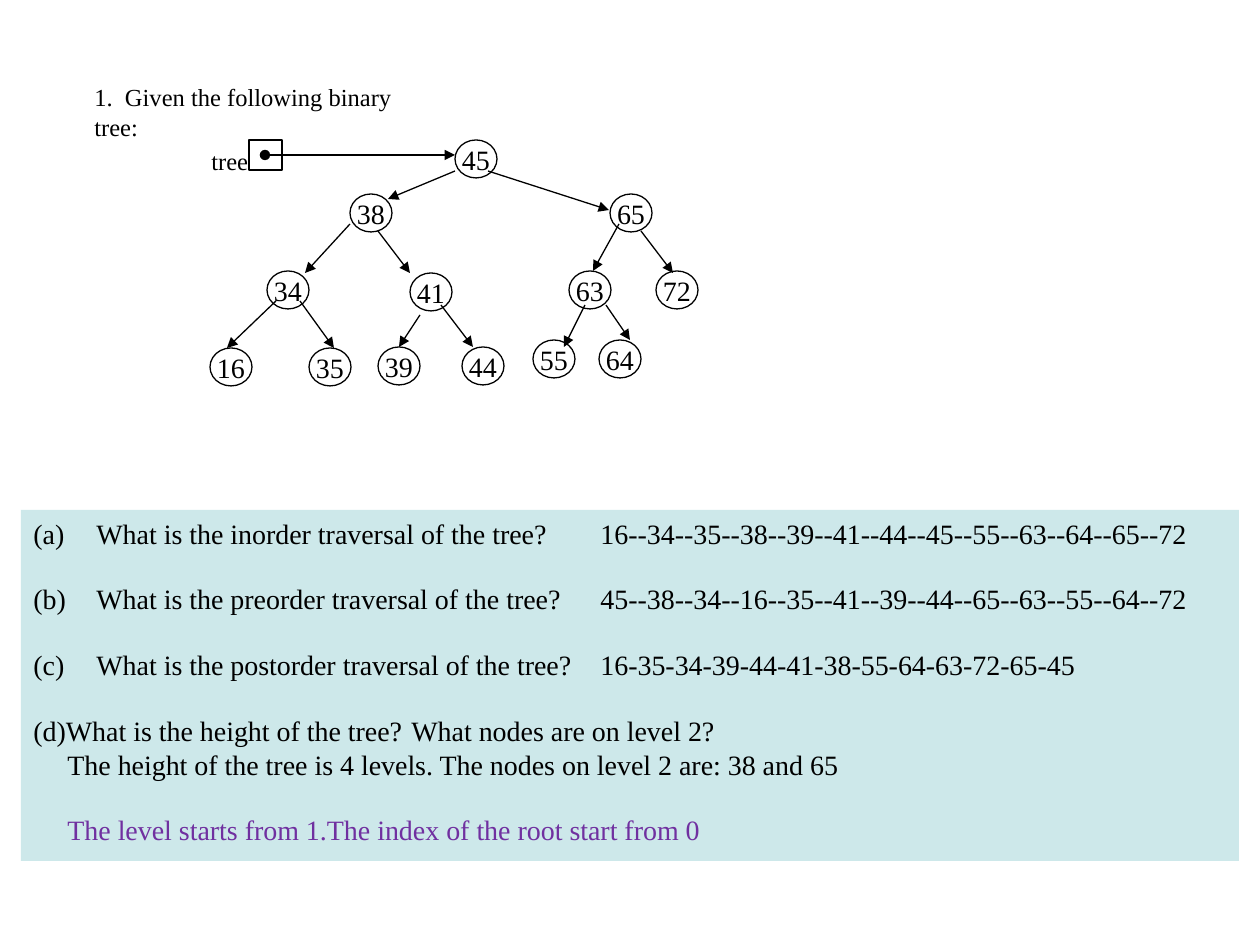
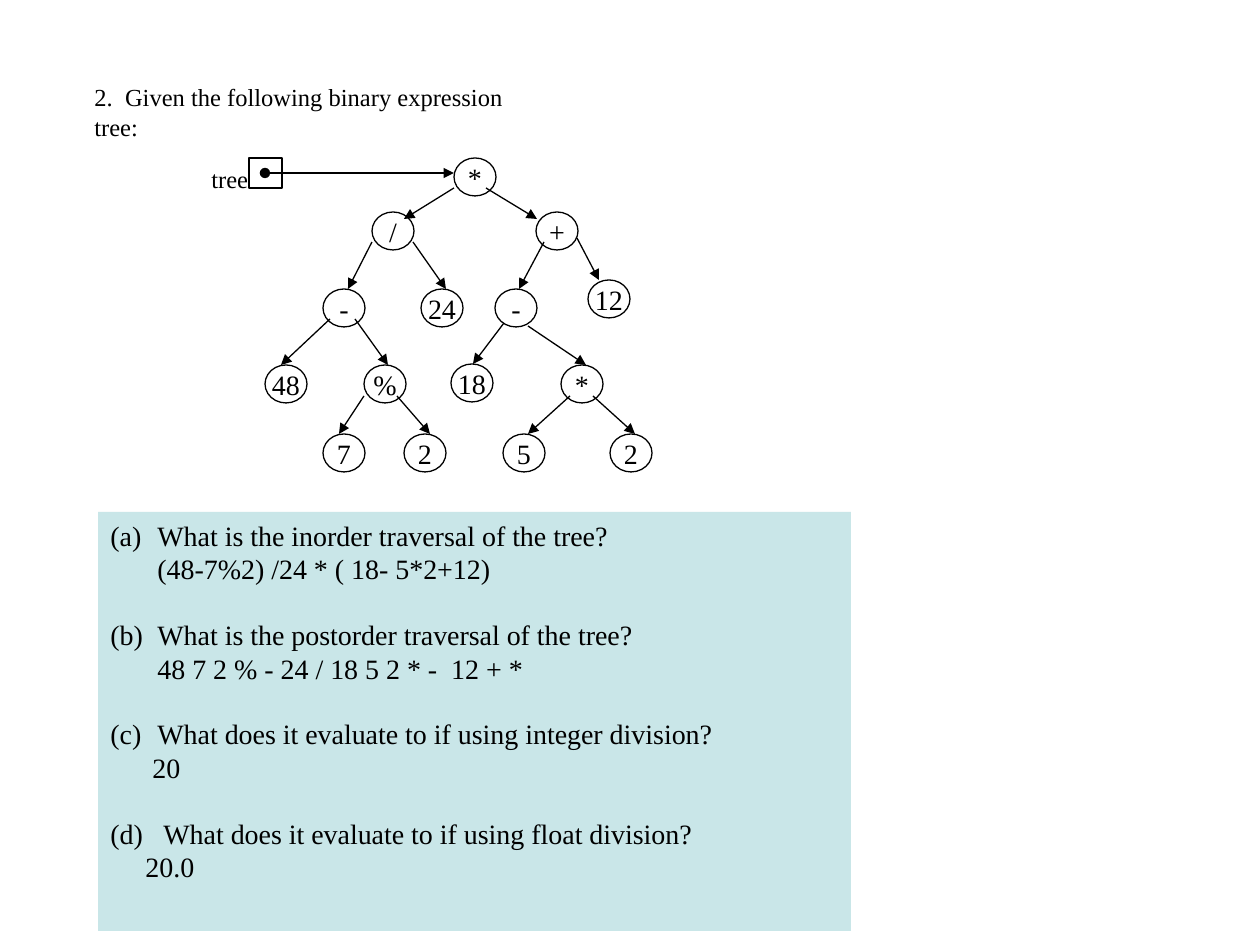
from pptx import Presentation
from pptx.dml.color import RGBColor
from pptx.enum.shapes import MSO_CONNECTOR, MSO_SHAPE
from pptx.enum.text import MSO_ANCHOR, PP_ALIGN
from pptx.oxml.ns import qn
from pptx.util import Emu, Pt
from lxml import etree

OVAL, RECT = MSO_SHAPE.OVAL, MSO_SHAPE.RECTANGLE
STRAIGHT = MSO_CONNECTOR.STRAIGHT
LEFT, CENTER = PP_ALIGN.LEFT, PP_ALIGN.CENTER
TOP, MIDDLE = MSO_ANCHOR.TOP, MSO_ANCHOR.MIDDLE

BLACK = RGBColor(0x00, 0x00, 0x00)
PURPLE = RGBColor(0x70, 0x30, 0xA0)
PANEL = RGBColor(0xBB, 0xE0, 0xE3)

FONT = "Times New Roman"
SMALL, NORMAL = 14, 16
BLANK_LINE = 18.4
SCALE = 914400 // 126
NODE_SIZE = (42, 38)
ANSWER_TABS = (45, 600)

SEARCH_TREE = [
    ("45", (455, 140), None),
    ("38", (350, 194), (455, 171, 388, 199)),
    ("65", (610, 194), (488, 171, 609, 210)),
    ("34", (267, 271), (350, 224, 305, 273)),
    ("41", (410, 273), (378, 231, 410, 273)),
    ("63", (569, 271), (619, 224, 593, 271)),
    ("72", (656, 271), (641, 231, 673, 273)),
    ("16", (210, 348), (276, 301, 227, 348)),
    ("35", (309, 348), (300, 301, 334, 348)),
    ("39", (378, 347), (420, 315, 399, 347)),
    ("44", (462, 347), (441, 305, 473, 347)),
    ("55", (533, 340), (585, 305, 564, 347)),
    ("64", (599, 340), (606, 305, 630, 340)),
]

EXPRESSION_TREE = [
    ("*", (454, 158), None),
    ("/", (372, 212), (454, 188, 404, 219)),
    ("+", (536, 212), (486, 188, 537, 219)),
    ("-", (323, 289), (372, 242, 348, 289)),
    ("24", (421, 289), (413, 242, 446, 289)),
    ("-", (495, 289), (544, 242, 519, 289)),
    ("12", (588, 280), (577, 238, 599, 280)),
    ("48", (265, 365), (330, 319, 281, 365)),
    ("%", (364, 365), (355, 319, 388, 365)),
    ("18", (451, 364), (504, 323, 473, 364)),
    ("*", (561, 365), (528, 326, 586, 365)),
    ("7", (323, 434), (364, 396, 339, 434)),
    ("2", (404, 434), (397, 396, 430, 434)),
    ("5", (503, 434), (570, 396, 528, 434)),
    ("2", (610, 434), (593, 396, 635, 434)),
]

SEARCH_QUESTIONS = [
    {"text": "(a)\tWhat is the inorder traversal of the tree?\t"
             "16--34--35--38--39--41--44--45--55--63--64--65--72", "tabs": ANSWER_TABS},
    {"text": "(b)\tWhat is the preorder traversal of the tree?\t"
             "45--38--34--16--35--41--39--44--65--63--55--64--72", "tabs": ANSWER_TABS, "gap": True},
    {"text": "(c)\tWhat is the postorder traversal of the tree?\t"
             "16-35-34-39-44-41-38-55-64-63-72-65-45", "tabs": ANSWER_TABS, "gap": True},
    {"text": "(d)What is the height of the tree?\tWhat nodes are on level 2?",
     "tabs": (389,), "gap": True},
    {"text": "The height of the tree is 4 levels. The nodes on level 2 are: 38 and 65", "margin": 34},
    {"text": "The level starts from 1.The index of the root start from 0",
     "margin": 34, "gap": True, "color": PURPLE},
]

EXPRESSION_QUESTIONS = [
    {"text": "What is the inorder traversal of the tree?", "number": 1, "margin": 47},
    {"text": "(48-7%2) /24 * ( 18- 5*2+12)", "margin": 47},
    {"text": "What is the postorder traversal of the tree?", "number": 2, "margin": 47, "gap": True},
    {"text": "48 7 2 % - 24 / 18 5 2 * -  12 + *", "margin": 47},
    {"text": "What does it evaluate to if using integer division?", "number": 3,
     "margin": 47, "gap": True},
    {"text": "20", "margin": 42},
    {"text": "What does it evaluate to if using float division?", "number": 4,
     "margin": 53, "gap": True},
    {"text": "20.0", "margin": 35},
]


def px(length):
    """Turn pixels into EMU."""
    return Emu(length * SCALE)


def add_span(para, text, size, color=BLACK):
    """Add one run of text to a paragraph."""
    span = para.add_run()
    span.text = text
    span.font.name = FONT
    span.font.size = Pt(size)
    span.font.color.rgb = color


def add_label(shapes, text, place, wrap):
    """Add a small text box."""
    box = shapes.add_textbox(*map(px, place))
    box.text_frame.word_wrap = wrap
    add_span(box.text_frame.paragraphs[0], text, SMALL)


def add_outline(shapes, kind, place):
    """Add an unfilled shape with a thin black line."""
    shape = shapes.add_shape(kind, *map(px, place))
    shape.shadow.inherit = False
    shape.fill.background()
    shape.line.color.rgb = BLACK
    shape.line.width = Pt(0.75)
    return shape


def add_node(shapes, text, corner):
    """Add a round tree node with its value."""
    frame = add_outline(shapes, OVAL, corner + NODE_SIZE).text_frame
    frame.word_wrap = False
    frame.vertical_anchor = MIDDLE
    frame.paragraphs[0].alignment = CENTER
    add_span(frame.paragraphs[0], text, NORMAL)


def add_arrow(shapes, ends, dot=False):
    """Add an arrow, with a dot at its start if asked for."""
    arrow = shapes.add_connector(STRAIGHT, *map(px, ends))
    arrow.line.color.rgb = BLACK
    arrow.line.width = Pt(0.75)
    line = arrow.line._get_or_add_ln()
    if dot:
        etree.SubElement(line, qn("a:headEnd"), type="oval")
    etree.SubElement(line, qn("a:tailEnd"), type="triangle")
    etree.SubElement(arrow._element.spPr, qn("a:effectLst"))


def add_tree(page, nodes):
    """Add the grouped tree with the pointer to its root."""
    shapes = page.shapes.add_group_shape().shapes
    root_left, top = nodes[0][1]
    for text, corner, edge in nodes:
        add_node(shapes, text, corner)
        if edge:
            add_arrow(shapes, edge)
    add_outline(shapes, RECT, (249, top, 33, 30))
    add_label(shapes, "tree", (199, top, 62, 42), False)
    add_arrow(shapes, (265, top + 15, root_left, top + 15), dot=True)


def format_para(para, margin=0, number=None, tabs=(), gap=False):
    """Set the spacing, indent, numbering and tab stops of a paragraph."""
    para.alignment = LEFT
    para.space_before = Pt(BLANK_LINE if gap else 0)
    props = para._p.get_or_add_pPr()
    props.set("marL", str(px(margin)))
    props.set("indent", str(px(-margin if number else 0)))
    if number:
        etree.SubElement(props, qn("a:buAutoNum"), type="alphaLcParenBoth", startAt=str(number))
    if tabs:
        stops = etree.SubElement(props, qn("a:tabLst"))
        for tab in tabs:
            etree.SubElement(stops, qn("a:tab"), pos=str(px(tab)), algn="l")


def add_questions(page, questions, place, opacity):
    """Add the translucent panel of questions and answers."""
    panel = page.shapes.add_shape(RECT, *map(px, place))
    panel.shadow.inherit = False
    panel.fill.solid()
    panel.fill.fore_color.rgb = PANEL
    panel.line.fill.background()
    tint = panel._element.spPr.find(".//" + qn("a:srgbClr"))
    etree.SubElement(tint, qn("a:alpha"), val=str(opacity * 1000))
    frame = panel.text_frame
    frame.word_wrap = True
    frame.vertical_anchor = TOP
    for index, question in enumerate(questions):
        layout = dict(question)
        text, color = layout.pop("text"), layout.pop("color", BLACK)
        para = frame.add_paragraph() if index else frame.paragraphs[0]
        format_para(para, **layout)
        add_span(para, text, NORMAL, color)


def add_exercise(deck, title, title_width, questions, panel, opacity, nodes):
    """Add one exercise page."""
    page = deck.slides.add_slide(deck.slide_layouts[6])
    add_label(page.shapes, title, (82, 76, title_width, 42), True)
    add_questions(page, questions, panel, opacity)
    add_tree(page, nodes)


def main():
    """Build and save the deck."""
    deck = Presentation()
    deck.slide_width, deck.slide_height = px(1260), px(945)
    add_exercise(deck, "1.  Given the following binary tree:", 364,
                 SEARCH_QUESTIONS, (21, 510, 1218, 351), 73, SEARCH_TREE)
    add_exercise(deck, "2.  Given the following binary expression tree:", 474,
                 EXPRESSION_QUESTIONS, (98, 512, 753, 419), 79, EXPRESSION_TREE)
    deck.save("out.pptx")


main()
